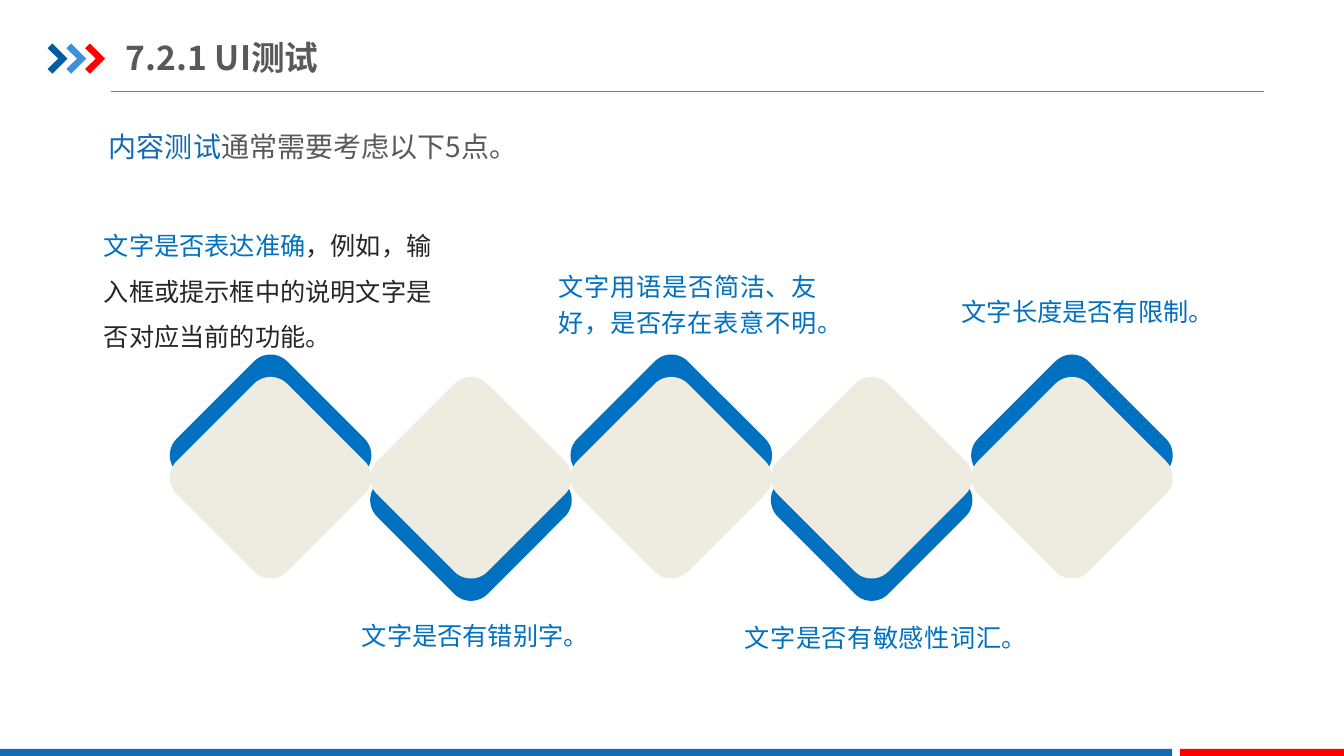
from lxml import etree
from pptx import Presentation
from pptx.dml.color import RGBColor
from pptx.enum.lang import MSO_LANGUAGE_ID
from pptx.enum.shapes import MSO_CONNECTOR, MSO_SHAPE
from pptx.enum.text import MSO_ANCHOR, MSO_AUTO_SIZE, PP_ALIGN
from pptx.oxml.ns import qn
from pptx.util import Pt

RECTANGLE, ROUNDED = MSO_SHAPE.RECTANGLE, MSO_SHAPE.ROUNDED_RECTANGLE
STRAIGHT = MSO_CONNECTOR.STRAIGHT
TOP, MIDDLE = MSO_ANCHOR.TOP, MSO_ANCHOR.MIDDLE
LEFT, JUSTIFY = PP_ALIGN.LEFT, PP_ALIGN.JUSTIFY
NO_AUTOFIT = MSO_AUTO_SIZE.NONE
CHINESE = MSO_LANGUAGE_ID.SIMPLIFIED_CHINESE

FONT = "Noto Sans CJK SC"
COLORS = {
    "navy": "005DA2", "sky": "3992DB", "red": "FF0000", "blue": "1369B2",
    "accent": "0070C0", "cream": "EEECE1", "rule": "808080",
    "heading": "595959", "text": "262626",
}

# Box of each label, its line spacing, its alignment and its coloured runs
POINTS = [
    ((74.2, 154, 237.6, 94.3), 1.5, LEFT,
     [("文字是否表达准确", "accent"),
      ("，例如，输入框或提示框中的说明文字是否对应当前的功能。", "text")]),
    ((258.5, 438.5, 183.6, 23.8), 1.2, JUSTIFY,
     [("文字是否有错别字。", "accent")]),
    ((398.9, 189.4, 185, 51.8), 1.2, JUSTIFY,
     [("文字用语是否简洁、友好，是否存在表意不明。", "accent")]),
    ((532.1, 439.9, 183.6, 23.8), 1.2, JUSTIFY,
     [("文字是否有敏感性词汇。", "accent")]),
    ((686.9, 207.4, 183.6, 23.8), 1.2, JUSTIFY,
     [("文字长度是否有限制。", "accent")]),
]


def rgb(name):
    return RGBColor.from_string(COLORS[name])


def paint(shape, color):
    shape.shadow.inherit = False
    shape.fill.solid()
    shape.fill.fore_color.rgb = rgb(color)
    shape.line.fill.background()


def place(shape, box):
    shape.left, shape.top, shape.width, shape.height = map(Pt, box)


def write(shape, runs, size, align=LEFT, spacing=1.0, margins=(0, 0),
          anchor=TOP, bold=False):
    """Fill a shape with one paragraph of (text, colour) runs."""
    frame = shape.text_frame
    frame.word_wrap = True
    frame.auto_size = NO_AUTOFIT
    frame.vertical_anchor = anchor
    frame.margin_left = frame.margin_right = Pt(margins[0])
    frame.margin_top = frame.margin_bottom = Pt(margins[1])
    paragraph = frame.paragraphs[0]
    paragraph.alignment = align
    paragraph.line_spacing = spacing
    paragraph.space_before = Pt(0)
    for text, color in runs:
        run = paragraph.add_run()
        run.text = text
        font = run.font
        font.name, font.size, font.bold = FONT, Pt(size), bold
        font.color.rgb = rgb(color)
        font.language_id = CHINESE
        east_asian = etree.SubElement(run._r.get_or_add_rPr(), qn("a:ea"))
        east_asian.set("typeface", FONT)


def add_chevrons(slide, box):
    left, top, width, height = box
    middle, notch, step = height / 2, 3.4, 13.4
    outline = [(0, notch), (notch, 0), (width, middle), (notch, height),
               (0, height - notch), (7.6, middle)]
    for index, color in enumerate(("navy", "sky", "red")):
        corners = [(Pt(left + index * step + x), Pt(top + y))
                   for x, y in outline]
        builder = slide.shapes.build_freeform(*corners[0])
        builder.add_line_segments(corners[1:], close=True)
        paint(builder.convert_to_shape(), color)


def add_header(slide, box):
    left, top, width, height = box
    add_chevrons(slide, (left, top + 10.2, 14.2, 21.6))
    rule_y = Pt(top + height)
    rule = slide.shapes.add_connector(
        STRAIGHT, Pt(left + 45.2), rule_y, Pt(left + width), rule_y)
    rule.line.color.rgb = rgb("rule")
    rule.line.width = Pt(0.75)
    etree.SubElement(rule._element.spPr, qn("a:effectLst"))
    title = slide.shapes.title
    place(title, (left + 56, top, 306.7, 39.6))
    write(title, [("7.2.1 UI测试", "heading")], 24, margins=(0, 5),
          anchor=MIDDLE, bold=True)


def add_intro(slide, box):
    intro = slide.placeholders[1]
    place(intro, box)
    write(intro, [("内容测试", "blue"), ("通常需要考虑以下5点。", "heading")],
          20, JUSTIFY, 1.5, (7.2, 3.6))
    properties = intro.text_frame.paragraphs[0]._p.get_or_add_pPr()
    properties.set("marL", "0")
    properties.set("indent", "0")
    etree.SubElement(properties, qn("a:buNone"))


def add_diamond(slide, box, edge_shift):
    """Draw a cream diamond over a blue one moved by edge_shift."""
    left, top, side, _ = box
    group = slide.shapes.add_group_shape()
    for shift, color in ((edge_shift, "accent"), (0, "cream")):
        diamond = group.shapes.add_shape(
            ROUNDED, Pt(left), Pt(top + shift), Pt(side), Pt(side))
        diamond.adjustments[0] = 0.15
        diamond.rotation = 315
        paint(diamond, color)


def add_points(slide, box):
    left, top, width, side = box
    step = (width - side) / (len(POINTS) - 1)
    for index, (label_box, spacing, align, runs) in enumerate(POINTS):
        edge_shift = 16 if index % 2 else -16
        add_diamond(slide, (left + index * step, top, side, side), edge_shift)
        label = slide.shapes.add_textbox(*map(Pt, label_box))
        write(label, runs, 18, align, spacing)


def add_footer(slide, box):
    left, top, width, height = box
    blue_width, gap = 837.2, 5.8
    red_left = left + blue_width + gap
    for x, bar_width, color in ((left, blue_width, "blue"),
                                (red_left, left + width - red_left, "red")):
        bar = slide.shapes.add_shape(
            RECTANGLE, Pt(x), Pt(top), Pt(bar_width), Pt(height))
        paint(bar, color)


def main():
    deck = Presentation()
    deck.slide_width, deck.slide_height = Pt(960), Pt(540)
    slide = deck.slides.add_slide(deck.slide_layouts[1])
    add_header(slide, (34, 20.9, 869, 44.6))
    add_footer(slide, (0, 535, 960, 5))
    add_intro(slide, (70.6, 77, 374.4, 43.2))
    add_points(slide, (137.5, 285.4, 684, 111.6))
    deck.save("out.pptx")


if __name__ == "__main__":
    main()
